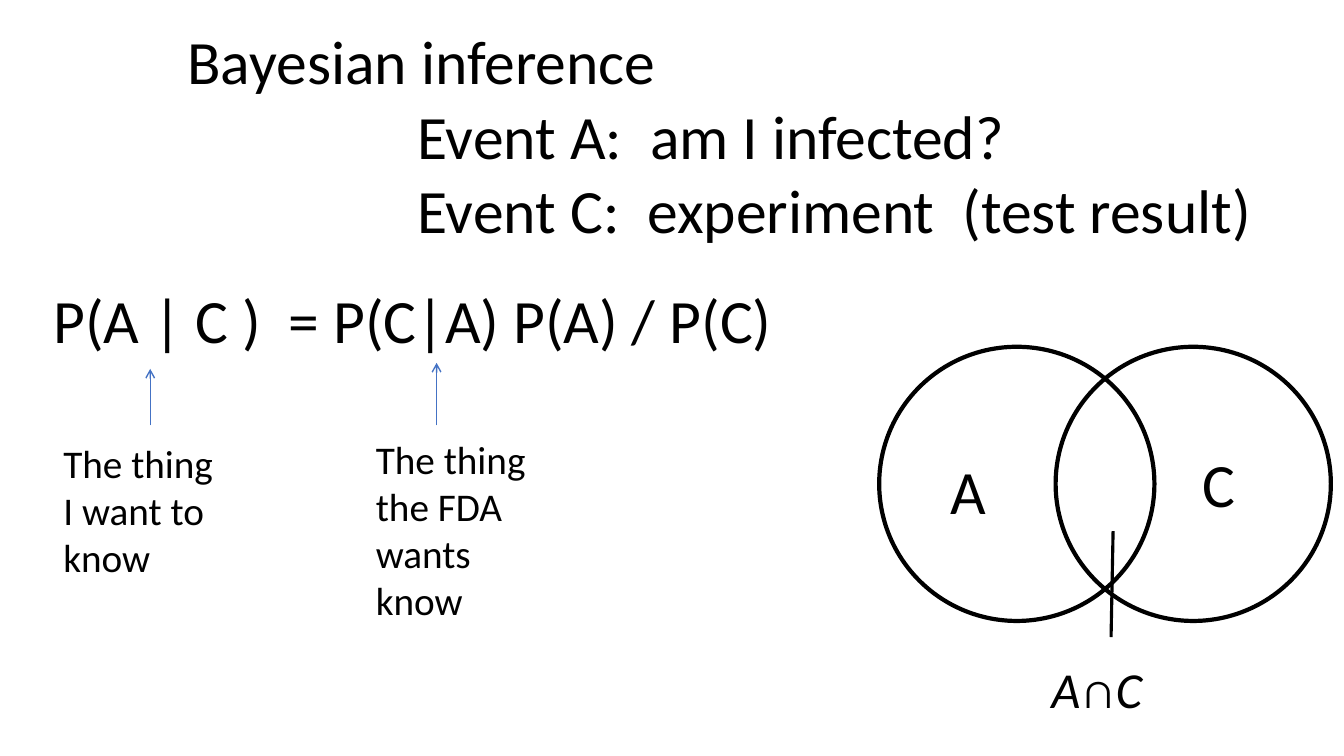
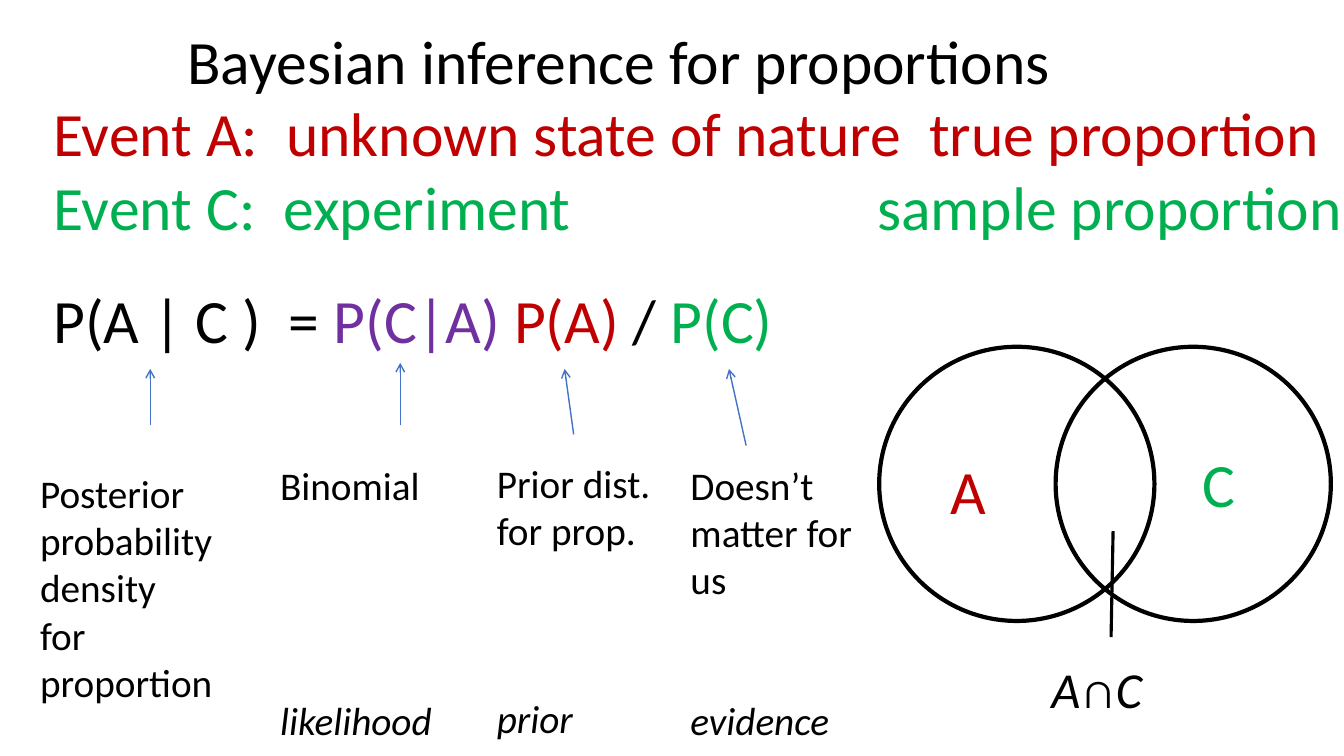
from dataclasses import dataclass

from lxml import etree
from pptx import Presentation, util as u
from pptx.dml.color import RGBColor
from pptx.enum import shapes, text
from pptx.oxml import ns


# Theme: colours, font and type sizes
@dataclass(frozen=True)
class Theme:
    font: str = "Calibri"
    ink: str = "000000"
    red: str = "C00000"
    green: str = "00B050"
    purple: str = "7030A0"
    blue: str = "4472C4"
    big: int = 44
    mid: int = 36
    small: int = 28
    step: float = 33.5  # height of one small line, in points


T = Theme()


@dataclass(frozen=True)
class Run:
    text: str
    color: str = T.ink
    slant: bool = False


@dataclass(frozen=True)
class Para:
    runs: tuple[Run, ...]
    before: float = 0
    tab: float = 0


@dataclass(frozen=True)
class Box:
    left: float
    top: float
    width: float
    height: float
    paras: tuple[Para, ...]
    size: int = T.big
    wrap: bool = False


@dataclass(frozen=True)
class Line:
    x1: float
    y1: float
    x2: float
    y2: float
    color: str = T.blue
    weight: float = 1
    arrow: bool = True


@dataclass(frozen=True)
class Page:
    title: str
    events: Box
    formula: tuple[Run, ...]
    a_color: str
    c_color: str
    notes: tuple[Box, ...]
    arrows: tuple[Line, ...]


def para(*runs: Run, before: float = 0, tab: float = 0) -> Para:
    return Para(runs, before, tab)


def plain(*lines: str) -> tuple[Para, ...]:
    return tuple(para(Run(line)) for line in lines)


def term(name: str, *lines: str) -> tuple[Para, ...]:
    """Explain a factor, with its name always on the sixth line."""
    gap = (5 - len(lines)) * T.step
    return plain(*lines) + (para(Run(name, slant=True), before=gap),)


# Drawing tools
def place(shape, left: float, top: float, width: float, height: float) -> None:
    shape.left, shape.top = u.Inches(left), u.Inches(top)
    shape.width, shape.height = u.Inches(width), u.Inches(height)


def add_run(par, run: Run, size: int) -> None:
    item = par.add_run()
    item.text = run.text
    font = item.font
    font.name, font.size, font.italic = T.font, u.Pt(size), run.slant
    font.color.rgb = RGBColor.from_string(run.color)


def add_title(slide, words: str) -> None:
    title = slide.shapes.title
    place(title, 1.76, 0.07, 9.74, 1.14)
    frame = title.text_frame
    frame.auto_size = text.MSO_AUTO_SIZE.NONE
    frame.vertical_anchor = text.MSO_ANCHOR.MIDDLE
    par = frame.paragraphs[0]
    par.alignment = text.PP_ALIGN.LEFT
    par.line_spacing = 0.9
    add_run(par, Run(words), T.big)


def add_box(slide, box: Box) -> None:
    shape = slide.shapes.add_textbox(0, 0, 0, 0)
    place(shape, box.left, box.top, box.width, box.height)
    frame = shape.text_frame
    frame.word_wrap = box.wrap
    for i, spot in enumerate(box.paras):
        par = frame.add_paragraph() if i else frame.paragraphs[0]
        par.alignment = text.PP_ALIGN.LEFT
        if spot.before:
            par.space_before = u.Pt(spot.before)
        if spot.tab:
            tabs = etree.SubElement(par._p.get_or_add_pPr(), ns.qn("a:tabLst"))
            etree.SubElement(tabs, ns.qn("a:tab"),
                             pos=str(u.Inches(spot.tab)), algn="l")
        for run in spot.runs:
            add_run(par, run, box.size)


def add_line(slide, line: Line) -> None:
    ends = (u.Inches(v) for v in (line.x1, line.y1, line.x2, line.y2))
    link = slide.shapes.add_connector(shapes.MSO_CONNECTOR.STRAIGHT, *ends)
    link.line.color.rgb = RGBColor.from_string(line.color)
    link.line.width = u.Pt(line.weight)
    if line.arrow:
        etree.SubElement(link.line._get_or_add_ln(), ns.qn("a:tailEnd"),
                         type="arrow")
    etree.SubElement(link._element.spPr, ns.qn("a:effectLst"))


def add_venn(slide, a_color: str, c_color: str) -> None:
    for left in (8.72, 10.47):
        ring = slide.shapes.add_shape(shapes.MSO_SHAPE.OVAL, 0, 0, 0, 0)
        place(ring, left, 3.44, 2.73, 2.72)
        ring.shadow.inherit = False
        ring.fill.background()
        ring.line.color.rgb = RGBColor.from_string(T.ink)
        ring.line.width = u.Pt(3)
    add_box(slide, Box(11.83, 4.37, 0.54, 0.84, (para(Run("C", c_color)),)))
    add_box(slide, Box(9.33, 4.44, 0.56, 0.84, (para(Run("A", a_color)),)))
    both = para(Run("A", slant=True), Run("∩"), Run("C", slant=True))
    add_box(slide, Box(10.33, 6.48, 1.12, 0.71, (both,), T.mid))
    add_line(slide, Line(11.02, 6.32, 11.04, 5.27, T.ink, 2.25, False))


def add_page(deck, page: Page) -> None:
    slide = deck.slides.add_slide(deck.slide_layouts[5])
    add_title(slide, page.title)
    add_venn(slide, page.a_color, page.c_color)
    add_box(slide, page.events)
    add_box(slide, Box(0.43, 2.75, 7.42, 1.58, (para(*page.formula),)))
    for note in page.notes:
        add_box(slide, note)
    for arrow in page.arrows:
        add_line(slide, arrow)


# Content
KNOWN = Line(1.49, 4.22, 1.49, 3.66)

PAGES = (
    Page(
        "Bayesian inference",
        Box(4.04, 0.92, 8.71, 1.58,
            plain("Event A:  am I infected?",
                  "Event C:  experiment  (test result)")),
        (Run("P(A | C )  = P(C|A) P(A) / P(C)"),),
        T.ink, T.ink,
        (
            Box(0.53, 4.31, 2.47, 1.51,
                plain("The thing", "I want to", "know"), T.small, True),
            Box(3.63, 4.27, 2.24, 1.99,
                plain("The thing", "the FDA wants", "know"), T.small, True),
        ),
        (KNOWN, Line(4.33, 4.22, 4.33, 3.6)),
    ),
    Page(
        "Bayesian inference for proportions",
        Box(0.43, 0.89, 13.15, 1.58, (
            para(Run("Event A:  unknown state of nature  true proportion",
                     T.red)),
            para(Run("Event C:  experiment\tsample proportion", T.green),
                 tab=8.17),
        ), wrap=True),
        (Run("P(A | C )  = "), Run("P(C|A) ", T.purple),
         Run("P(A) ", T.red), Run("/ "), Run("P(C)", T.green)),
        T.red, T.green,
        (
            Box(0.3, 4.61, 2.47, 2.46,
                plain("Posterior", "probability", "density", "for",
                      "proportion"), T.small, True),
            Box(2.68, 4.53, 1.72, 2.93,
                term("likelihood", "Binomial"), T.small),
            Box(4.83, 4.51, 1.74, 2.93,
                term("prior", "Prior dist.", "for prop."), T.small),
            Box(6.75, 4.53, 1.92, 2.93,
                term("evidence", "Doesn’t", "matter for", "us"),
                T.small, True),
        ),
        (KNOWN, Line(3.97, 4.22, 3.97, 3.6), Line(5.69, 4.31, 5.6, 3.66),
         Line(7.4, 4.42, 7.23, 3.66)),
    ),
)


def main() -> None:
    deck = Presentation()
    deck.slide_width, deck.slide_height = u.Inches(13.33), u.Inches(7.5)
    for page in PAGES:
        add_page(deck, page)
    deck.save("out.pptx")


if __name__ == "__main__":
    main()
